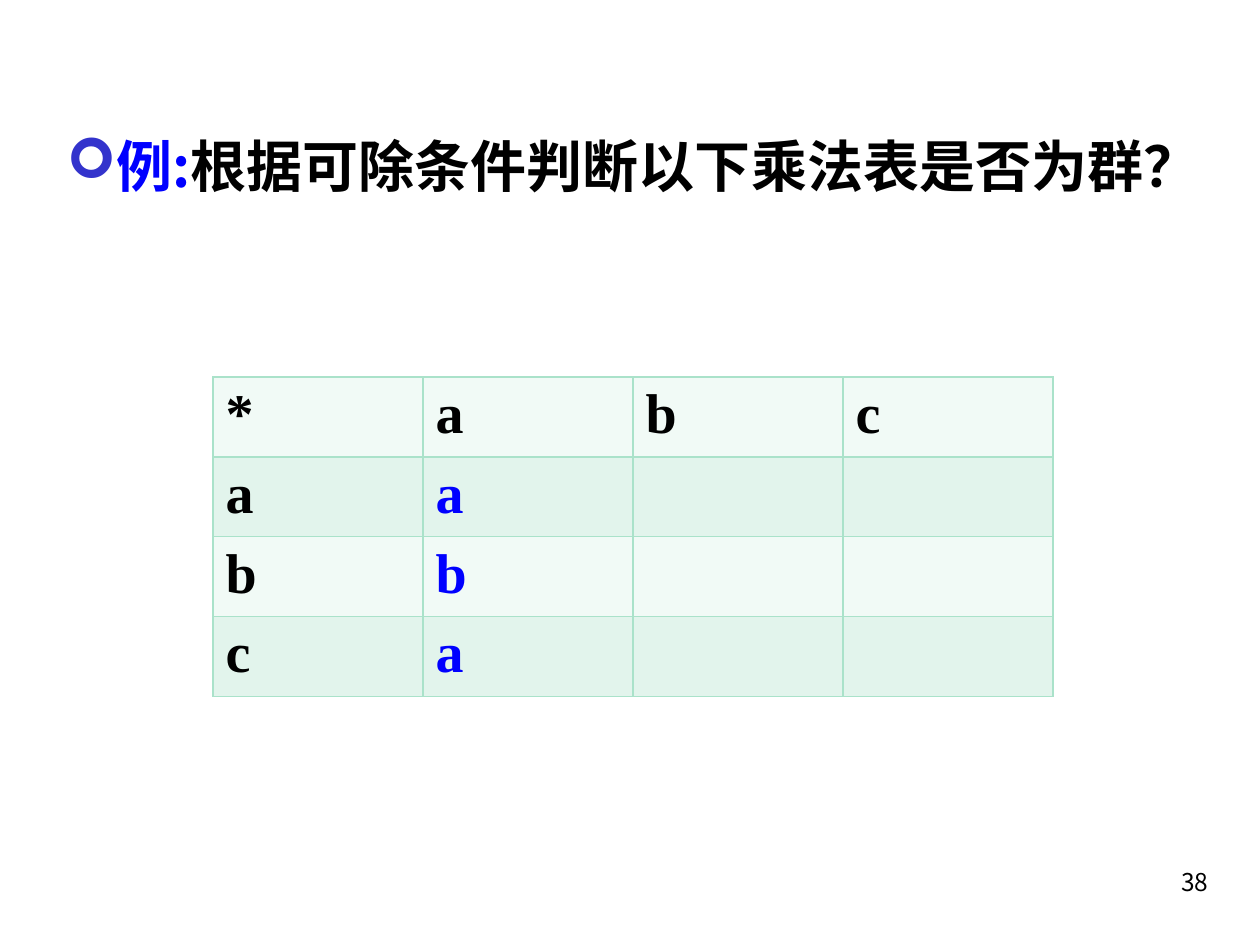
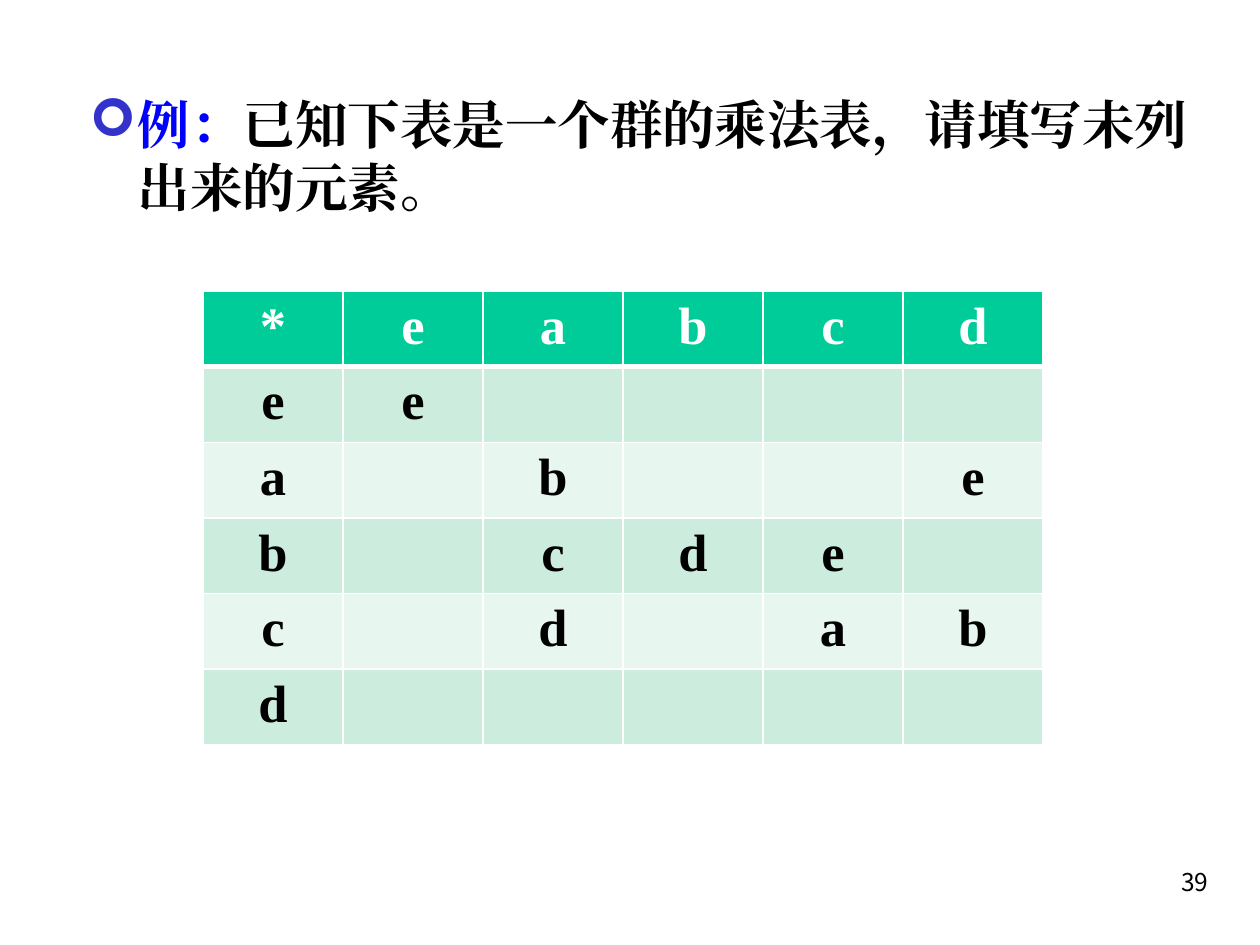
"""Build two slides on multiplication tables of groups."""
from lxml.etree import SubElement as Sub
from pptx import Presentation
from pptx.dml.color import RGBColor as Rgb
from pptx.enum.text import MSO_AUTO_SIZE as Fit, PP_ALIGN as Align
from pptx.oxml.ns import qn
from pptx.util import Pt

PX = 914400 / 126
SANS, SERIF, NUM = "Noto Sans CJK SC", "Times New Roman", "Noto Sans CJK KR"
INK = {
    "black": "000000", "white": "FFFFFF", "blue": "0000FF", "arrow": "3333CC",
    "edge": "AAE2CA", "pale": "F1FAF6", "mint": "E2F4EC",
    "head": "00CC99", "dark": "CCECDE", "light": "E7F6EF",
}


def emu(*vals):
    """Turn px lengths into EMU."""
    return [round(v * PX) for v in vals]


def style(font, face, size, ink, bold=True):
    """Set the look of a font."""
    font.name, font.size, font.bold = face, Pt(size), bold
    font.color.rgb = Rgb.from_string(INK[ink])


def add_page(deck, num):
    """Add a slide with its page number and return it."""
    page = deck.slides.add_slide(deck.slide_layouts[1])
    title = page.shapes.title.element
    title.getparent().remove(title)
    frame = page.shapes.add_textbox(*emu(959, 861, 262, 63)).text_frame
    frame.word_wrap = True
    para = frame.paragraphs[0]
    para.text, para.alignment = str(num), Align.RIGHT
    style(para.font, NUM, 14, "black", False)
    return page


def add_task(page, box, lead, text, face, size):
    """Fill the body placeholder with an arrow item and a blue lead."""
    body = page.placeholders[1]
    body.left, body.top, body.width, body.height = emu(*box)
    frame = body.text_frame
    frame.auto_size = Fit.NONE
    para = frame.paragraphs[0]
    para.space_before = Pt(0)
    props = para._p.get_or_add_pPr()
    dent = emu(48)[0]
    props.set("marL", str(dent))
    props.set("indent", str(-dent))
    Sub(Sub(props, qn("a:buClr")), qn("a:srgbClr"), val=INK["arrow"])
    Sub(props, qn("a:buFont"), typeface="Wingdings")
    Sub(props, qn("a:buChar"), char="➢")
    for words, ink in ((lead, "blue"), (text, "black")):
        run = para.add_run()
        run.text = words
        style(run.font, face, size, ink)
        Sub(run._r.get_or_add_rPr(), qn("a:ea"), typeface=face)


def edge(cell, ink, base=1):
    """Draw the four borders of a cell, the lower one base points wide."""
    props = cell._tc.get_or_add_tcPr()
    for spot, side in enumerate("LRTB"):
        wide = Pt(base if side == "B" else 1)
        line = props.makeelement(qn(f"a:ln{side}"), {"w": str(wide)})
        Sub(Sub(line, qn("a:solidFill")), qn("a:srgbClr"), val=INK[ink])
        props.insert(spot, line)


def add_grid(page, box, rows, size, look):
    """Add a table; look maps row and column to fill, ink, edge and base."""
    cols = len(rows[0])
    grid = page.shapes.add_table(len(rows), cols, *emu(*box)).table
    grid.first_row = grid.horz_banding = False
    for r, row in enumerate(rows):
        for c, mark in enumerate(row):
            cell = grid.cell(r, c)
            fill, ink, line, base, align = look(r, c)
            cell.fill.solid()
            cell.fill.fore_color.rgb = Rgb.from_string(INK[fill])
            edge(cell, line, base)
            para = cell.text_frame.paragraphs[0]
            para.text, para.alignment = mark.strip(), align
            style(para.font, SERIF, size, ink)


def plain(r, c):
    """Give the look of the table with blue entries."""
    ink = "blue" if r and c else "black"
    return ("mint" if r % 2 else "pale"), ink, "edge", 1, Align.LEFT


def headed(r, c):
    """Give the look of the table with a green head row."""
    if r == 0:
        return "head", "white", "white", 3, Align.CENTER
    return ("dark" if r % 2 else "light"), "black", "white", 1, Align.CENTER


def main():
    """Build and save the deck."""
    deck = Presentation()
    deck.slide_width, deck.slide_height = emu(1260, 945)

    page = add_page(deck, 38)
    add_task(page, (54, 125, 1191, 708), "例:",
             "根据可除条件判断以下乘法表是否为群？", SANS, 32)
    add_grid(page, (213, 377, 840, 319),
             ["*abc", "aa  ", "bb  ", "ca  "], 32, plain)

    page = add_page(deck, 39)
    add_task(page, (77, 86, 1144, 718), "例：",
             "已知下表是一个群的乘法表，请填写未列出来的元素。", SERIF, 30)
    add_grid(page, (203, 291, 840, 454),
             ["*eabcd", "ee    ", "a b  e", "b cde ", "c d ab", "d     "],
             30, headed)

    deck.save("out.pptx")


if __name__ == "__main__":
    main()
